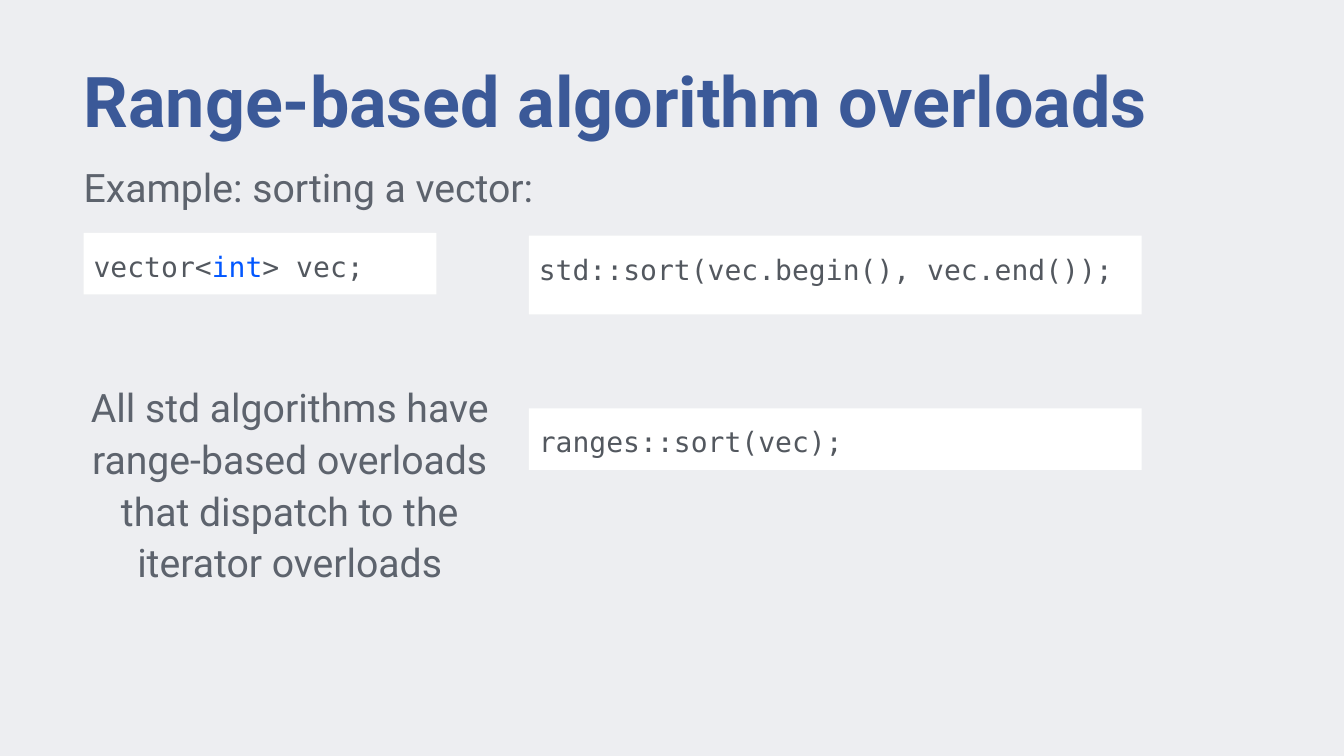
import dataclasses

import lxml.etree
import pptx
import pptx.dml.color
import pptx.enum.shapes
import pptx.enum.text
import pptx.oxml.ns
import pptx.util

Cm = pptx.util.Cm
Align = pptx.enum.text.PP_ALIGN
Anchor = pptx.enum.text.MSO_ANCHOR


@dataclasses.dataclass(frozen=True)
class Theme:
    background: str = "EDEEF1"
    panel: str = "FFFFFF"
    title: str = "3B5998"
    prose: str = "5D636D"
    code: str = "53585F"
    keyword: str = "0257FF"
    text_font: str = "Roboto"
    code_font: str = "DejaVu Sans Mono"
    title_size: int = 50
    prose_size: int = 28
    code_size: int = 20


def color(value):
    return pptx.dml.color.RGBColor.from_string(value)


class SlideBuilder:
    def __init__(self, deck, theme):
        self.theme = theme
        self.page = deck.slides.add_slide(deck.slide_layouts[1])
        fill = self.page.background.fill
        fill.solid()
        fill.fore_color.rgb = color(theme.background)

    def place(self, box, left, top, width, height):
        box.left, box.top = Cm(left), Cm(top)
        box.width, box.height = Cm(width), Cm(height)

    def set_text(self, box, spans, style, inset=0, spacing=1.0,
                 align=Align.LEFT, anchor=Anchor.TOP, bold=False):
        frame = box.text_frame
        frame.word_wrap = True
        frame.auto_size = pptx.enum.text.MSO_AUTO_SIZE.NONE
        frame.vertical_anchor = anchor
        frame.margin_left = frame.margin_right = Cm(inset)
        frame.margin_top = frame.margin_bottom = Cm(inset)
        para = frame.paragraphs[0]
        para.alignment = align
        para.line_spacing = spacing
        para.space_before = pptx.util.Pt(0)
        properties = para._p.get_or_add_pPr()
        properties.set("marL", "0")
        properties.set("indent", "0")
        lxml.etree.SubElement(properties, pptx.oxml.ns.qn("a:buNone"))
        font_name, size, base_color = style
        para.font.name = font_name
        para.font.size = pptx.util.Pt(size)
        para.font.bold = bold
        for text, span_color in spans:
            span = para.add_run()
            span.text = text
            span.font.color.rgb = color(span_color or base_color)

    def title(self, text, *area):
        box = self.page.shapes.title
        self.place(box, *area)
        theme = self.theme
        style = (theme.text_font, theme.title_size, theme.title)
        self.set_text(box, [(text, None)], style, bold=True)

    def prose(self, text, *area, align=Align.LEFT):
        box = self.page.shapes.add_textbox(*map(Cm, area))
        theme = self.theme
        style = (theme.text_font, theme.prose_size, theme.prose)
        self.set_text(box, [(text, None)], style, spacing=1.1,
                      align=align, anchor=Anchor.MIDDLE)

    def code(self, spans, *area, box=None):
        if box is None:
            box = self.page.shapes.add_shape(
                pptx.enum.shapes.MSO_SHAPE.RECTANGLE, *map(Cm, area))
            box.shadow.inherit = False
        else:
            self.place(box, *area)
        theme = self.theme
        box.fill.solid()
        box.fill.fore_color.rgb = color(theme.panel)
        box.line.fill.background()
        style = (theme.code_font, theme.code_size, theme.code)
        self.set_text(box, spans, style, inset=0.25, spacing=1.2)


def main():
    deck = pptx.Presentation()
    deck.slide_width, deck.slide_height = Cm(33.87), Cm(19.05)
    theme = Theme()
    builder = SlideBuilder(deck, theme)
    margin, code_left, code_width, code_height = 2.11, 13.33, 15.44, 1.55

    builder.title("Range-based algorithm overloads", margin, 1.45, 29.64, 2.57)
    builder.code([("std::sort(vec.begin(), vec.end());", None)],
                 code_left, 5.94, code_width, 1.98,
                 box=builder.page.placeholders[1])
    builder.code([("ranges::sort(vec);", None)],
                 code_left, 10.29, code_width, code_height)
    builder.prose("All std algorithms have range-based overloads "
                  "that dispatch to the iterator overloads",
                  1.9, 9.52, 10.8, 5.26, align=Align.CENTER)
    builder.code([("vector<", None), ("int", theme.keyword), ("> vec;", None)],
                 margin, 5.87, 8.89, code_height)
    builder.prose("Example: sorting a vector:", margin, 3.99, 12.27, 1.32)
    deck.save("out.pptx")


if __name__ == "__main__":
    main()
